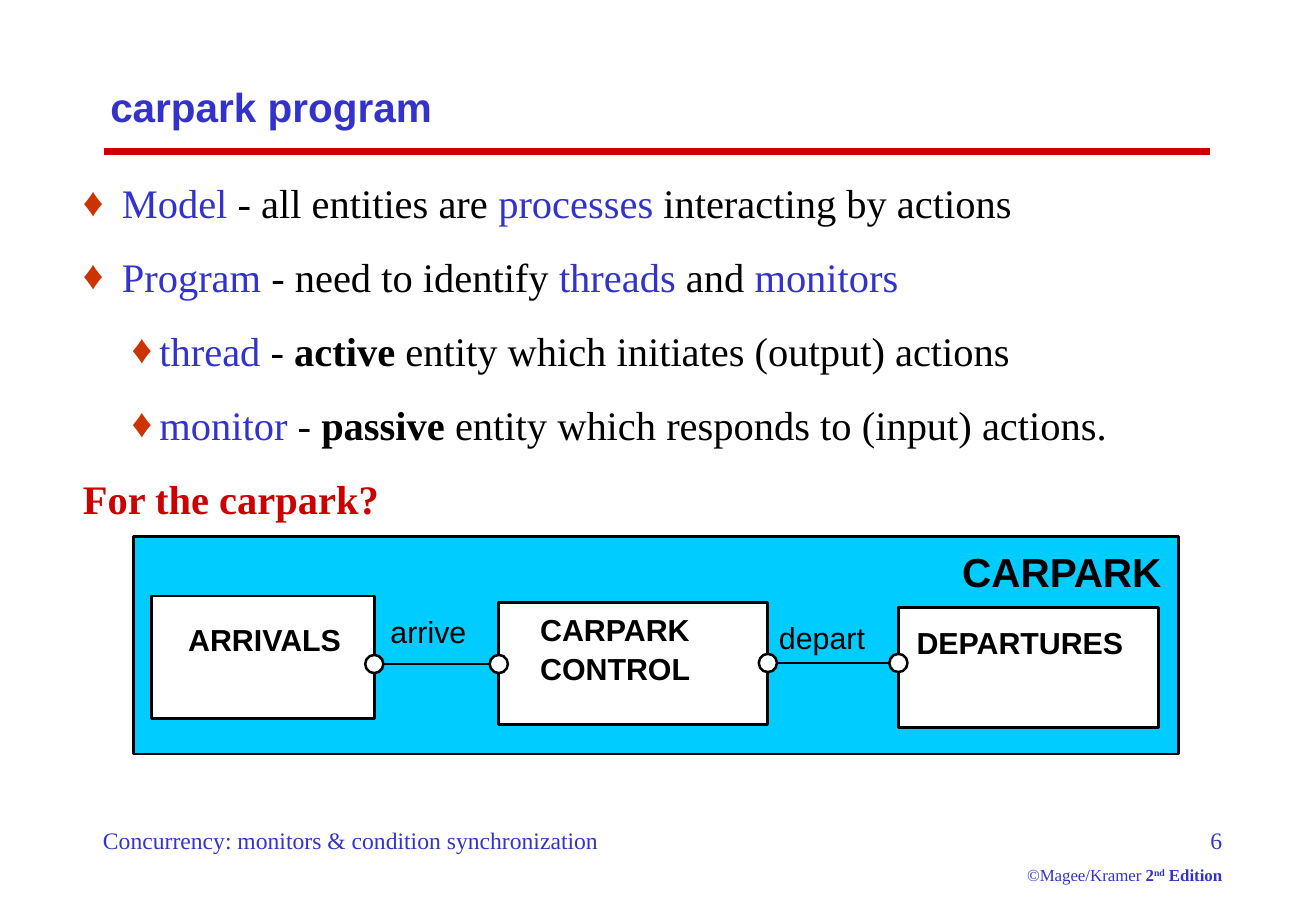
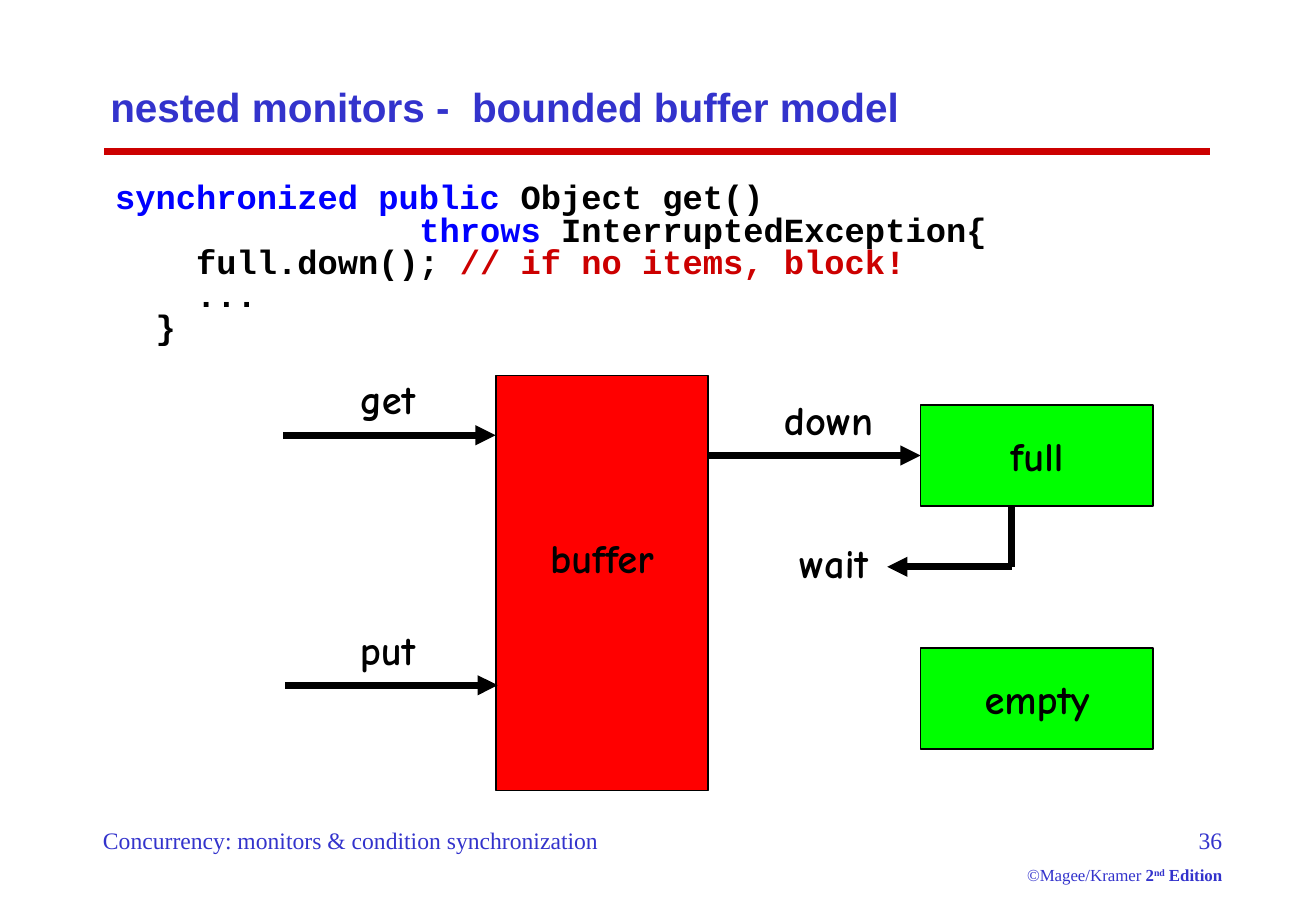
from collections import namedtuple

from lxml import etree
from pptx import Presentation
from pptx import util as u
from pptx.dml.color import RGBColor
from pptx.enum import shapes, text
from pptx.oxml import ns

ROWS = 90
SLIDE_WIDTH, SLIDE_HEIGHT = u.Inches(10.84), u.Inches(7.5)
CELL = SLIDE_HEIGHT / ROWS

BLACK = RGBColor(0x00, 0x00, 0x00)
WHITE = RGBColor(0xFF, 0xFF, 0xFF)
INDIGO = RGBColor(0x33, 0x33, 0xCC)
BLUE = RGBColor(0x00, 0x00, 0xFF)
CRIMSON = RGBColor(0xCC, 0x00, 0x00)
RUST = RGBColor(0xCC, 0x33, 0x00)
CYAN = RGBColor(0x00, 0xCC, 0xFF)
RED = RGBColor(0xFF, 0x00, 0x00)
GREEN = RGBColor(0x00, 0xFF, 0x00)

SANS, SERIF, MONO, COMIC = "Arial", "Times New Roman", "Courier New", "Comic Neue"
LEFT, CENTER, RIGHT = text.PP_ALIGN.LEFT, text.PP_ALIGN.CENTER, text.PP_ALIGN.RIGHT
TOP, MIDDLE = text.MSO_ANCHOR.TOP, text.MSO_ANCHOR.MIDDLE
RECTANGLE, OVAL = shapes.MSO_SHAPE.RECTANGLE, shapes.MSO_SHAPE.OVAL
PORT_SIZE = 1.8
PADDING = (1.2, 0.6, 1.2, 0.6)

Box = namedtuple("Box", "x y width height")
TITLE = Box(9.7, 6, 111.2, 9)
BODY = Box(7, 17, 121, 35.3)
FOOTER = Box(9, 81, 113, 7)
CARPARK = Box(13.2, 53, 103.3, 21.5)
CODE = Box(10.2, 17.6, 116.3, 17.3)
BUFFER_MODEL = Box(28, 37.1, 86, 41)


def cells(count):
    """Turn a number of grid cells into a length."""
    return u.Emu(round(count * CELL))


def inside(area, x, y, width=0, height=0):
    """Return a box placed relative to the corner of an area."""
    return Box(area.x + x, area.y + y, width, height)


def place(shape, box):
    """Move a shape to a box of the grid."""
    shape.left, shape.top, shape.width, shape.height = map(cells, box)


def format_run(run, size, font, color, bold=False, superscript=False):
    """Set the character format of one run."""
    run.font.size, run.font.name, run.font.bold = u.Pt(size), font, bold
    run.font.color.rgb = color
    if superscript:
        run._r.get_or_add_rPr().set("baseline", "30000")


def write(shape, paragraphs, align=LEFT, anchor=TOP, margins=(0, 0, 0, 0),
          before=0, spacing=None, **style):
    """Fill a shape with paragraphs, each a list of strings or (string, format) runs."""
    frame = shape.text_frame
    frame.auto_size = text.MSO_AUTO_SIZE.NONE
    frame.word_wrap = True
    frame.vertical_anchor = anchor
    (frame.margin_left, frame.margin_top,
     frame.margin_right, frame.margin_bottom) = map(cells, margins)
    for index, runs in enumerate(paragraphs):
        paragraph = frame.add_paragraph() if index else frame.paragraphs[0]
        paragraph.alignment = align
        paragraph.space_before = u.Pt(before if index else 0)
        if spacing:
            paragraph.line_spacing = spacing
        for item in runs:
            content, changes = (item, {}) if isinstance(item, str) else item
            run = paragraph.add_run()
            run.text = content
            format_run(run, **{**style, **changes})


def add_text(slide, box, paragraphs, **style):
    """Add a text box."""
    shape = slide.shapes.add_textbox(*map(cells, box))
    write(shape, paragraphs, **style)


def add_box(slide, box, fill, line_width=0, kind=RECTANGLE):
    """Add a filled shape, outlined in black where a line width is given."""
    shape = slide.shapes.add_shape(kind, *map(cells, box))
    shape.shadow.inherit = False
    shape.fill.solid()
    shape.fill.fore_color.rgb = fill
    if line_width:
        shape.line.color.rgb = BLACK
        shape.line.width = u.Pt(line_width)
    else:
        shape.line.fill.background()
    return shape


def add_line(slide, start, end, width=4, color=BLACK, arrow=False):
    """Add a straight line between two boxes' corners."""
    connector = slide.shapes.add_connector(
        shapes.MSO_CONNECTOR.STRAIGHT, *map(cells, (start.x, start.y, end.x, end.y)))
    connector.line.color.rgb = color
    connector.line.width = u.Pt(width)
    properties = connector._element.spPr
    if arrow:
        etree.SubElement(properties.find(ns.qn("a:ln")), ns.qn("a:tailEnd"), type="triangle")
    etree.SubElement(properties, ns.qn("a:effectLst"))
    return connector


def set_bullet(paragraph, margin, hanging):
    """Give a paragraph a diamond bullet, or none where nothing hangs."""
    properties = paragraph._p.get_or_add_pPr()
    properties.set("marL", str(u.Inches(margin)))
    properties.set("indent", str(-u.Inches(hanging)))
    if not hanging:
        etree.SubElement(properties, ns.qn("a:buNone"))
        return
    color = etree.SubElement(properties, ns.qn("a:buClr"))
    etree.SubElement(color, ns.qn("a:srgbClr"), val=str(RUST))
    etree.SubElement(properties, ns.qn("a:buFont"), typeface=SERIF)
    etree.SubElement(properties, ns.qn("a:buChar"), char="♦")


def add_footer(slide, area, number):
    """Place the lecture name, page number and copyright line."""
    style = dict(size=14, font=SERIF, color=INDIGO, margins=PADDING)
    add_text(slide, inside(area, 0, 0, 56, 4),
             [["Concurrency: monitors & condition synchronization"]], **style)
    small, strong = dict(size=10), dict(size=10, bold=True)
    add_text(slide, inside(area, area.width - 23, 0, 23, area.height),
             [[str(number)],
              [("©Magee/Kramer ", small), ("2", strong),
               ("nd", dict(strong, superscript=True)), (" Edition", strong)]],
             align=RIGHT, before=6.2, **style)


def add_slide(presentation, layout, title, number):
    """Start a slide with its title, rule and footer."""
    slide = presentation.slides.add_slide(presentation.slide_layouts[layout])
    place(slide.shapes.title, TITLE)
    write(slide.shapes.title, [[title]], anchor=MIDDLE, margins=PADDING,
          size=24, font=SANS, color=INDIGO, bold=True)
    rule = inside(TITLE, 0.6, TITLE.height)
    add_line(slide, rule, inside(rule, 109.3, 0), color=CRIMSON)
    add_footer(slide, FOOTER, number)
    return slide


def fill_body(body, area):
    """Write the bulleted list of entities."""
    term, strong = dict(color=INDIGO), dict(bold=True)
    place(body, area)
    write(body, [
        [("Model", term), " - all entities are ", ("processes", term),
         " interacting by actions"],
        [("Program", term), " - need to identify ", ("threads", term), " and ",
         ("monitors", term)],
        [("thread", term), " - ", ("active", strong),
         " entity which initiates (output) actions"],
        [("monitor", term), " - ", ("passive", strong),
         " entity which responds to (input) actions."],
        [("For the carpark?", dict(color=CRIMSON, bold=True))],
    ], margins=PADDING, before=15, size=24, font=SERIF, color=BLACK)
    for paragraph, level in zip(body.text_frame.paragraphs, (0, 0, 1, 1, None)):
        paragraph.level = level or 0
        set_bullet(paragraph, *{0: (0.32, 0.32), 1: (0.63, 0.23), None: (0, 0)}[level])


def add_port(slide, center):
    """Add a round port centred on a point."""
    corner = inside(center, -PORT_SIZE / 2, -PORT_SIZE / 2, PORT_SIZE, PORT_SIZE)
    add_box(slide, corner, WHITE, 1.5, OVAL)


def draw_carpark(slide, area):
    """Draw the carpark's three processes and the actions they share."""
    style = dict(font=SANS, color=BLACK, size=18)
    frame = add_box(slide, area, CYAN, 1.5)
    write(frame, [["CARPARK"]], align=RIGHT, margins=(0, 1, 1.7, 0),
          **dict(style, size=24, bold=True))
    processes = [
        (inside(area, 1.8, 5.9, 22, 12.1), ["ARRIVALS"], (3.6, 2.5, 0, 0)),
        (inside(area, 36.1, 6.5, 26.6, 12.1), ["CARPARK", "CONTROL"], (4.1, 0.9, 0, 0)),
        (inside(area, 75.6, 7, 25.7, 11.9), ["DEPARTURES"], (1.8, 1.7, 0, 0)),
    ]
    for box, lines, margins in processes:
        write(add_box(slide, box, WHITE, 1.5), [[line] for line in lines],
              margins=margins, before=1.6, bold=True, **style)
    boxes = [box for box, _, _ in processes]
    actions = [("arrive", 12.6, 1.6, 5), ("depart", 12.5, 1.1, 4.3)]
    for source, target, (name, row, gap, rise) in zip(boxes, boxes[1:], actions):
        start = Box(source.x + source.width, area.y + row, 0, 0)
        end = Box(target.x, start.y, 0, 0)
        add_port(slide, start)
        add_port(slide, end)
        add_line(slide, inside(start, PORT_SIZE / 2, 0), inside(end, -PORT_SIZE / 2, 0),
                 width=1.5)
        add_text(slide, inside(start, gap, -rise, 10, 3.6), [[name]], **style)


def add_code(slide, area):
    """Write the method that gets an item."""
    keyword = dict(color=BLUE)
    write(add_box(slide, area, WHITE), [
        [("synchronized public", keyword), " Object get()"],
        ["               ", ("throws", keyword), " InterruptedException{"],
        ["    full.down(); ", ("// if no items, block!", dict(color=CRIMSON))],
        ["    ..."],
        ["  }"],
    ], margins=PADDING, spacing=0.8, size=20, font=MONO, color=BLACK, bold=True)


def draw_buffer_model(slide, area):
    """Draw the buffer, its two semaphores and the calls between them."""
    style = dict(align=CENTER, anchor=MIDDLE, size=24, font=COMIC, color=BLACK, bold=True)
    blocks = {}
    for name, box, fill, lift in (
            ("buffer", inside(area, 21, 0, 21, area.height), RED, 5),
            ("full", inside(area, 63, 2.9, 23, 10), GREEN, 0),
            ("empty", inside(area, 63, 26.9, 23, 10), GREEN, 0)):
        blocks[name] = add_box(slide, box, fill, 1)
        write(blocks[name], [[name]], margins=(0, 0, 0, lift), **style)
    calls = {}
    for name, start, end, row, label_center, label_row in (
            ("get", 0, 21, 5.9, 10.3, 2.3),
            ("put", 0.2, 21.2, 30.6, 10.3, 27),
            ("down", 42, 63, 7.9, 53.9, 4.3),
            ("wait", 72, 59.7, 18.9, 54.4, 18.5)):
        calls[name] = add_line(slide, inside(area, start, row), inside(area, end, row),
                               arrow=True)
        add_text(slide, inside(area, label_center - 6, label_row - 3, 12, 6),
                 [[name]], **style)
    calls["down"].end_connect(blocks["full"], 1)
    add_line(slide, inside(area, 72, 12.9), inside(area, 72, 18.9))


def main():
    """Build both slides and save them."""
    presentation = Presentation()
    presentation.slide_width, presentation.slide_height = SLIDE_WIDTH, SLIDE_HEIGHT

    program = add_slide(presentation, 1, "carpark program", 6)
    fill_body(program.placeholders[1], BODY)
    draw_carpark(program, CARPARK)

    model = add_slide(presentation, 5, "nested monitors -  bounded buffer model", 36)
    add_code(model, CODE)
    draw_buffer_model(model, BUFFER_MODEL)

    presentation.save("out.pptx")


if __name__ == "__main__":
    main()
